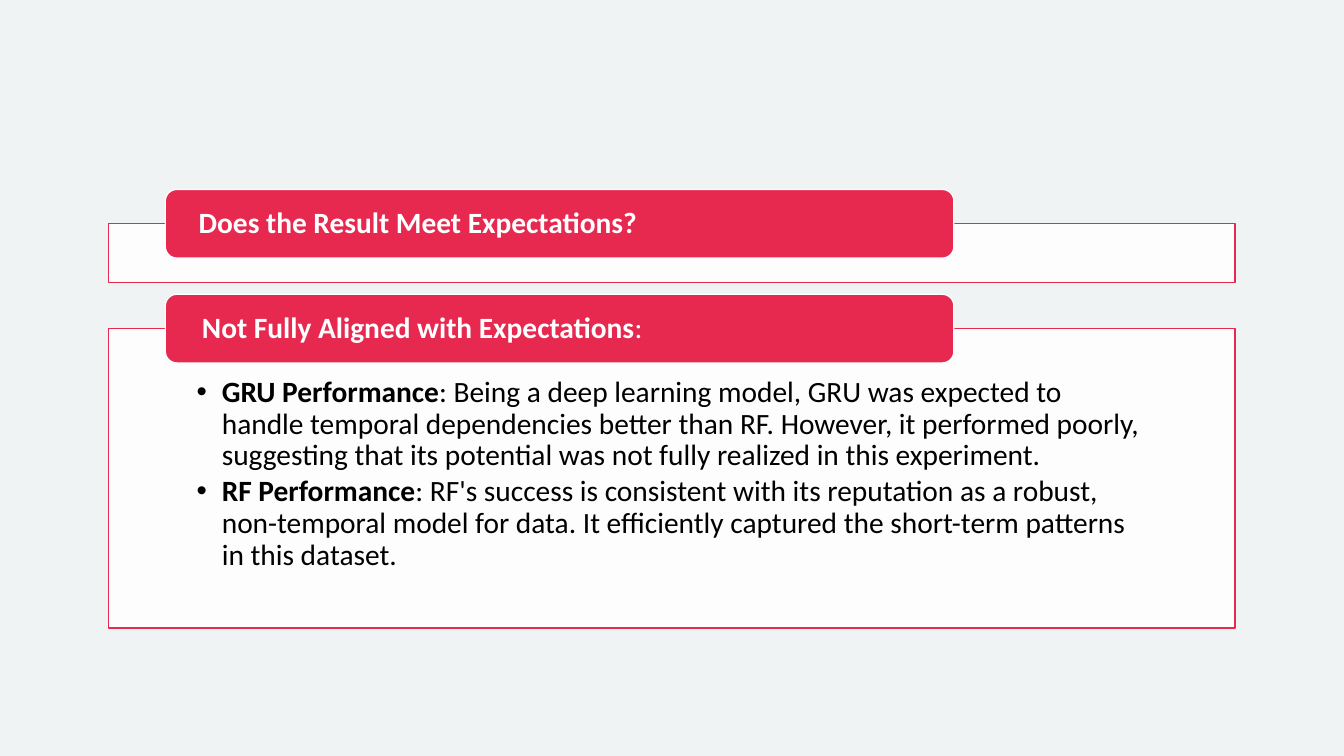
from dataclasses import dataclass

from lxml.etree import SubElement
from pptx import Presentation
from pptx.dml.color import RGBColor
from pptx.enum.shapes import MSO_SHAPE
from pptx.enum.text import MSO_ANCHOR, MSO_AUTO_SIZE, PP_ALIGN
from pptx.oxml.ns import qn
from pptx.util import Inches, Pt


@dataclass(frozen=True)
class Theme:
    background: RGBColor = RGBColor(0xF0, 0xF3, 0xF3)
    accent: RGBColor = RGBColor(0xE7, 0x29, 0x50)
    light: RGBColor = RGBColor(0xFF, 0xFF, 0xFF)
    dark: RGBColor = RGBColor(0x00, 0x00, 0x00)
    panel_opacity: int = 90
    font: str = "Calibri"
    text_size: Pt = Pt(21)
    line_width: Pt = Pt(0.85)


class SlideBuilder:
    def __init__(self, page, theme):
        self.page = page
        self.theme = theme
        page.background.fill.solid()
        page.background.fill.fore_color.rgb = theme.background

    def apply(self, target, values):
        for name, value in values.items():
            setattr(target, name, value)

    def place(self, box, area):
        box.element.getparent().append(box.element)
        names = ("left", "top", "width", "height")
        self.apply(box, dict(zip(names, map(Inches, area))))

    def paint(self, box, fill, line):
        box.fill.solid()
        box.fill.fore_color.rgb = fill
        box.line.color.rgb = line
        box.line.width = self.theme.line_width

    def paint_panel(self, box):
        self.paint(box, self.theme.light, self.theme.accent)
        color = box.element.spPr.find(qn("a:solidFill")).find(qn("a:srgbClr"))
        SubElement(color, qn("a:alpha"), val=str(self.theme.panel_opacity * 1000))

    def shape(self, kind, area):
        box = self.page.shapes.add_shape(kind, *map(Inches, area))
        box.shadow.inherit = False
        return box

    def panel(self, area):
        self.paint_panel(self.shape(MSO_SHAPE.RECTANGLE, area))

    def label(self, area):
        box = self.shape(MSO_SHAPE.ROUNDED_RECTANGLE, area)
        self.paint(box, self.theme.accent, self.theme.light)
        return box

    def frame(self, box, anchor, side, top=0, bottom=0):
        self.apply(box.text_frame, {
            "word_wrap": True, "auto_size": MSO_AUTO_SIZE.NONE, "vertical_anchor": anchor,
            "margin_left": Inches(side), "margin_right": Inches(side),
            "margin_top": Inches(top), "margin_bottom": Inches(bottom),
        })

    def add_text(self, para, strong, plain, color):
        self.apply(para, {
            "alignment": PP_ALIGN.LEFT, "line_spacing": 0.9,
            "space_before": Pt(0), "space_after": Pt(3),
        })
        for text, bold in ((strong, True), (plain, False)):
            if text:
                span = para.add_run()
                span.text = text
                self.apply(span.font, {
                    "name": self.theme.font, "size": self.theme.text_size, "bold": bold,
                })
                span.font.color.rgb = color

    def heading(self, box, strong, plain=""):
        self.frame(box, MSO_ANCHOR.MIDDLE, 0.33)
        self.add_text(box.text_frame.paragraphs[0], strong, plain, self.theme.light)

    def title(self, area, text):
        box = self.page.shapes.title
        self.place(box, area)
        self.heading(box, text)

    def bullet_panel(self, area, items):
        box = self.page.placeholders[1]
        self.place(box, area)
        self.paint_panel(box)
        self.frame(box, MSO_ANCHOR.TOP, 0.87, 0.48, 0.16)
        frame = box.text_frame
        for index, (strong, plain) in enumerate(items):
            para = frame.add_paragraph() if index else frame.paragraphs[0]
            self.add_text(para, strong, plain, self.theme.dark)
        for properties in box.element.iter(qn("a:pPr")):
            properties.set("marL", str(Inches(0.25)))
            properties.set("indent", str(Inches(-0.25)))
            SubElement(properties, qn("a:buChar"), char="•")


def main():
    deck = Presentation()
    deck.slide_width = Inches(13.33)
    deck.slide_height = Inches(7.5)
    builder = SlideBuilder(deck.slides.add_slide(deck.slide_layouts[1]), Theme())

    question_label = (1.64, 1.88, 7.82, 0.68)
    builder.panel((1.08, 2.22, 11.17, 0.58))
    builder.label(question_label)
    builder.title(question_label, "Does the Result Meet Expectations?")

    builder.bullet_panel((1.08, 3.26, 11.17, 2.97), [
        ("GRU Performance",
         ": Being a deep learning model, GRU was expected to handle temporal dependencies "
         "better than RF. However, it performed poorly, suggesting that its potential was "
         "not fully realized in this experiment."),
        ("RF Performance",
         ": RF's success is consistent with its reputation as a robust, non-temporal model "
         "for data. It efficiently captured the short-term patterns in this dataset."),
    ])
    answer_label = builder.label((1.64, 2.92, 7.82, 0.68))
    builder.heading(answer_label, "Not Fully Aligned with Expectations", ":")

    deck.save("out.pptx")


if __name__ == "__main__":
    main()
